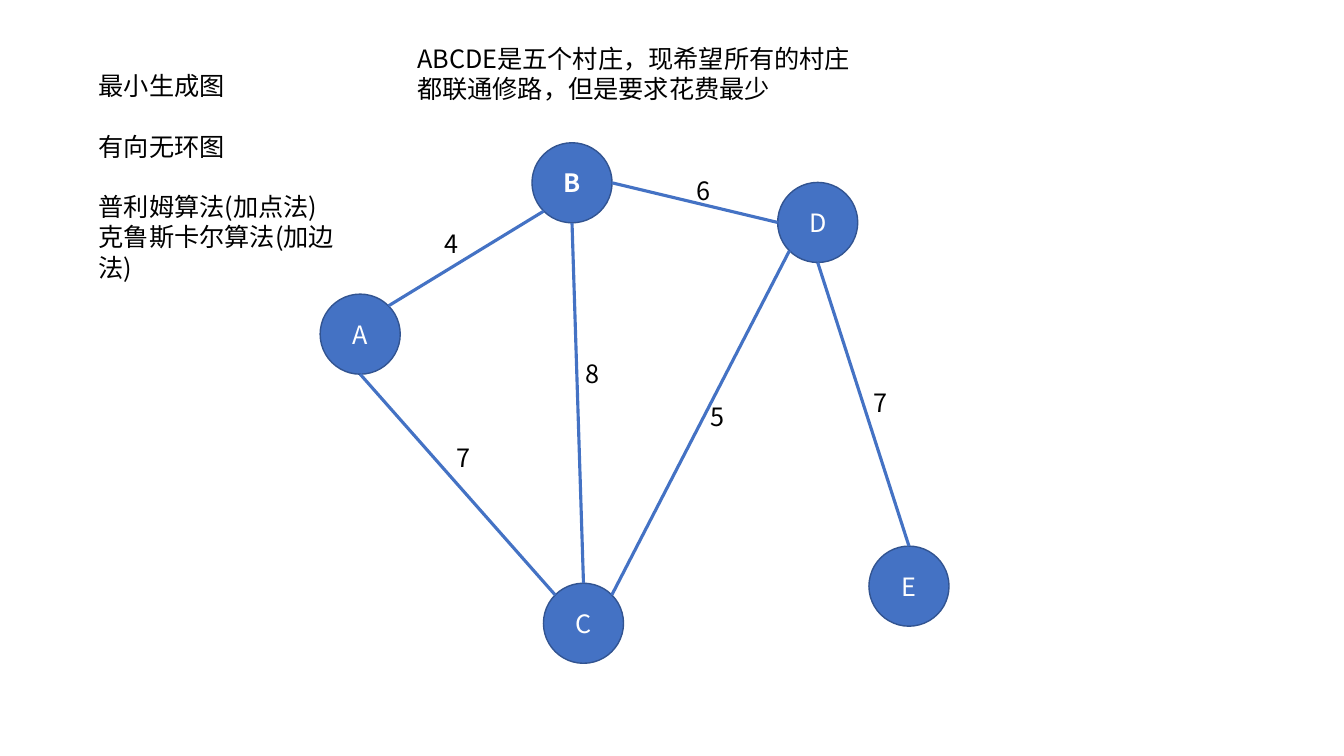
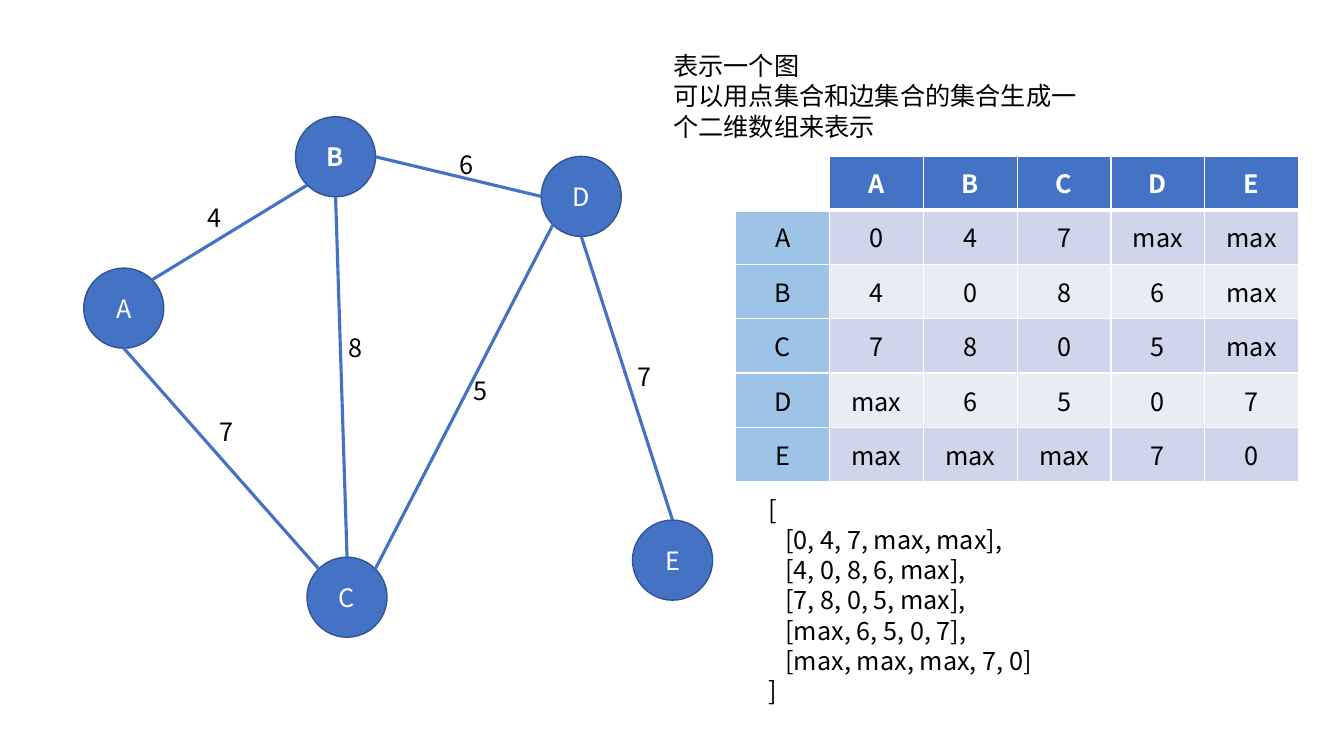
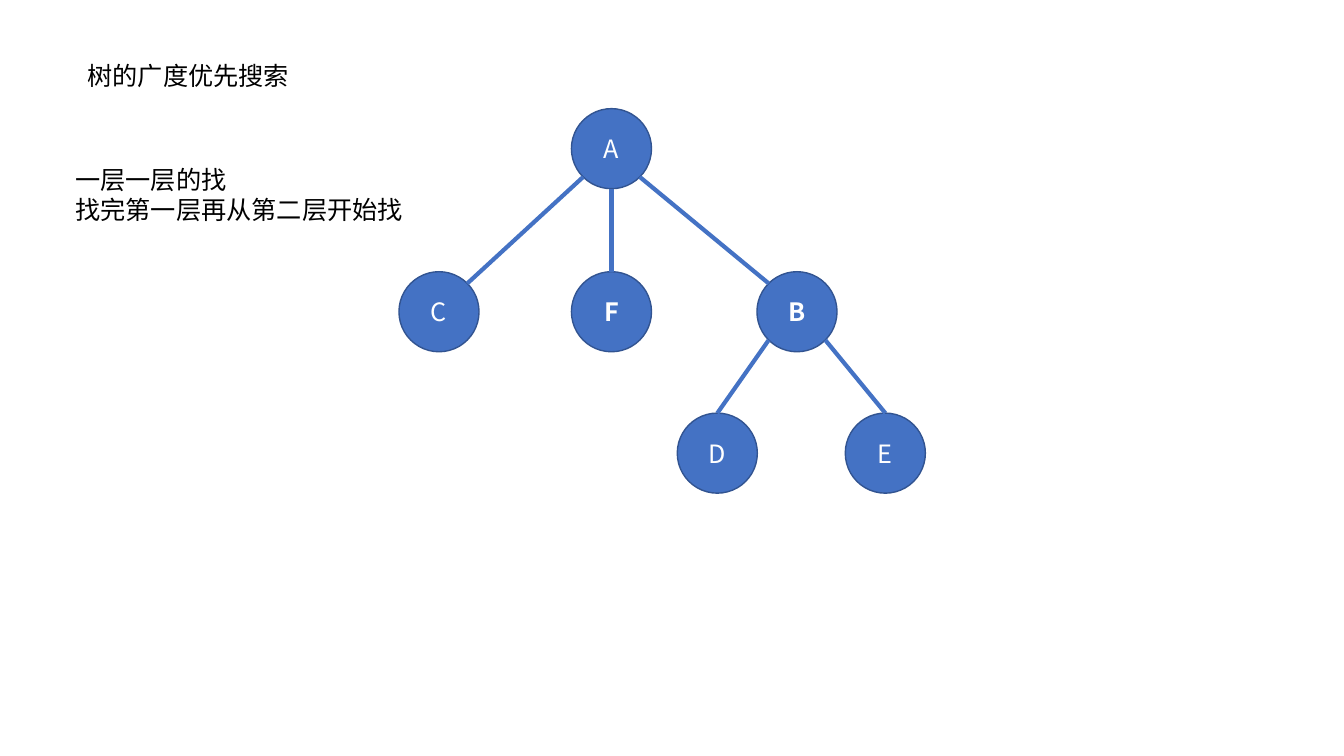
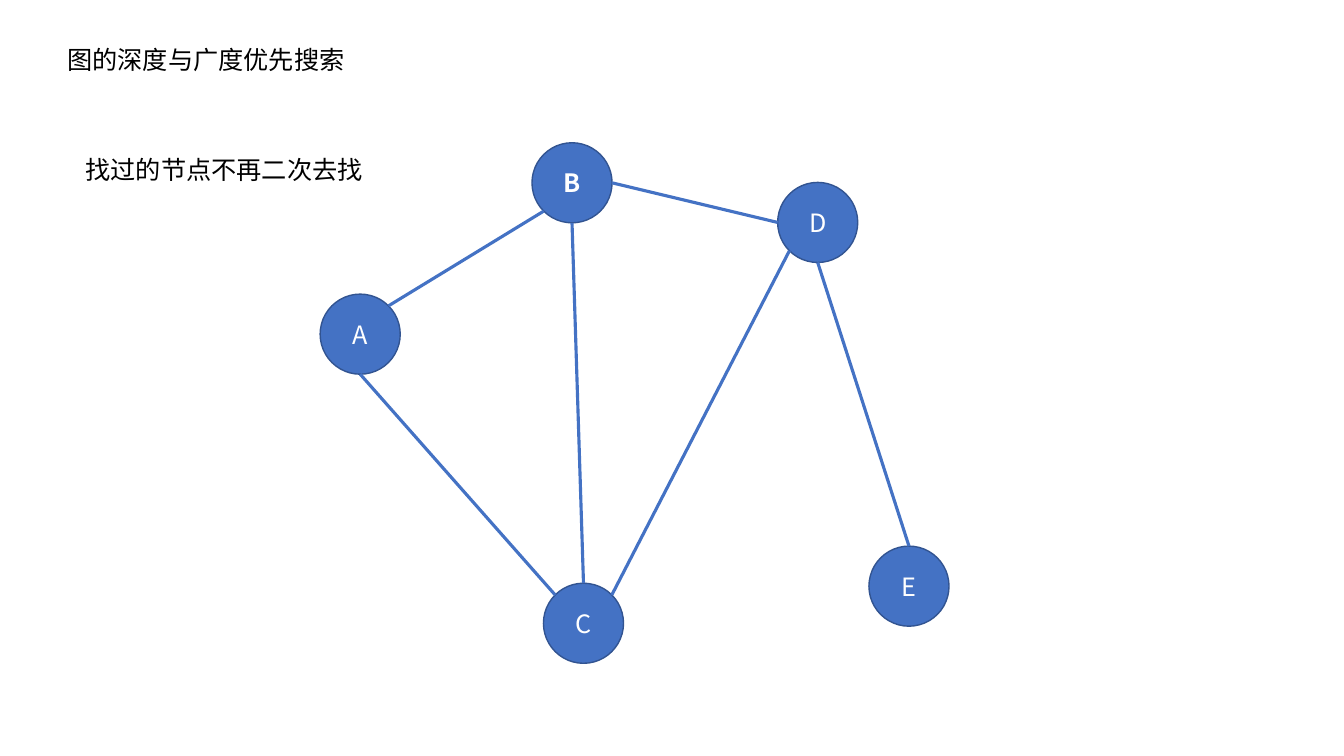
from math import sqrt
from lxml import etree
from pptx import Presentation
from pptx.dml.color import RGBColor
from pptx.enum.shapes import MSO_CONNECTOR, MSO_SHAPE
from pptx.enum.text import MSO_ANCHOR, PP_ALIGN
from pptx.oxml.ns import qn
from pptx.util import Pt

ELLIPSE = MSO_SHAPE.OVAL
STRAIGHT = MSO_CONNECTOR.STRAIGHT
CENTER = PP_ALIGN.CENTER
LEFT = PP_ALIGN.LEFT
MIDDLE = MSO_ANCHOR.MIDDLE

COLORS = {
    "blue": "4472C4",
    "outline": "325491",
    "row_head": "9DC3E6",
    "band_dark": "CFD5EA",
    "band_light": "E9EBF5",
    "white": "FFFFFF",
    "black": "000000",
}
FONT = "Noto Sans CJK SC"
FONT_SIZE = 18
LINE_HEIGHT = 21.6
NODE_SIZE = 57.2
BOLD_NODES = "BF"

VILLAGES = {
    "B": (151.3, 0),
    "D": (326.8, 28.3),
    "E": (392, 288.1),
    "C": (159.5, 314.6),
    "A": (0, 108.1),
}
ROADS = [
    ("B", "bottom_left", "A", "top_right"),
    ("A", "bottom", "C", "top_left"),
    ("B", "bottom", "C", "top"),
    ("E", "top", "D", "bottom"),
    ("D", "left", "B", "right"),
    ("D", "bottom_left", "C", "top_right"),
]
ROAD_COSTS = [
    ("4", 81.5, 57.8),
    ("7", 90.1, 210.5),
    ("8", 182.3, 150.7),
    ("6", 261.5, 19.7),
    ("5", 271.6, 181),
    ("7", 388.2, 170.9),
]
COST_BOX = (33, 28.8)
GRAPH_CENTERED = (228.7, 102)
GRAPH_LEFT = (59.8, 83.4)

TREE_NODES = {
    "B": (540.7, 194.1),
    "D": (483.8, 295.1),
    "E": (603.8, 295.1),
    "C": (285, 194.1),
    "A": (408.2, 77.6),
    "F": (408.2, 194.1),
}
BRANCHES = [
    ("A", "bottom_left", "C", "top_right"),
    ("A", "bottom", "F", "top"),
    ("A", "bottom_right", "B", "top_left"),
    ("B", "bottom_left", "D", "top"),
    ("B", "bottom_right", "E", "top"),
]

VILLAGE_NAMES = "ABCDE"
DISTANCES = [
    ["0", "4", "7", "max", "max"],
    ["4", "0", "8", "6", "max"],
    ["7", "8", "0", "5", "max"],
    ["max", "6", "5", "0", "7"],
    ["max", "max", "max", "7", "0"],
]
TABLE_CORNER = (525.6, 111.6)
COLUMN_WIDTH = 67
HEAD_HEIGHT, ROW_HEIGHT = 38.2, 38.9

PROBLEM = ["ABCDE是五个村庄，现希望所有的村庄都联通修路，但是要求花费最少"]
TOPICS = ["最小生成图", "有向无环图", "普利姆算法(加点法)", "克鲁斯卡尔算法(加边法)"]
REPRESENTATION = ["表示一个图", "可以用点集合和边集合的集合生成一个二维数组来表示"]
TREE_TITLE = ["树的广度优先搜索"]
TREE_STEPS = ["一层一层的找", "找完第一层再从第二层开始找"]
SEARCH_TITLE = ["图的深度与广度优先搜索"]
SEARCH_RULE = ["找过的节点不再二次去找"]

DIAGONAL = 0.5 / sqrt(2)
OFFSETS = {"top": (0, -0.5), "bottom": (0, 0.5), "left": (-0.5, 0), "right": (0.5, 0)}
for vertical, dy in (("top", -DIAGONAL), ("bottom", DIAGONAL)):
    for horizontal, dx in (("left", -DIAGONAL), ("right", DIAGONAL)):
        OFFSETS[f"{vertical}_{horizontal}"] = (dx, dy)


def rgb(name):
    return RGBColor.from_string(COLORS[name])


def style_text(frame, color, align=LEFT, bold=False):
    for paragraph in frame.paragraphs:
        paragraph.alignment = align
        for run in paragraph.runs:
            run.font.name = FONT
            run.font.size = Pt(FONT_SIZE)
            run.font.bold = bold
            run.font.color.rgb = rgb(color)
            east_asian = etree.SubElement(run.font._element, qn("a:ea"))
            east_asian.set("typeface", FONT)


def add_text(slide, lines, left, top, width, height, gaps=(), indents=()):
    frame = slide.shapes.add_textbox(Pt(left), Pt(top), Pt(width), Pt(height)).text_frame
    frame.word_wrap = True
    frame.text = "\n".join(lines)
    style_text(frame, "black")
    for index, paragraph in enumerate(frame.paragraphs):
        paragraph.line_spacing = Pt(LINE_HEIGHT)
        if index in gaps:
            paragraph.space_before = Pt(LINE_HEIGHT)
        if index in indents:
            paragraph._p.get_or_add_pPr().set("marL", str(Pt(12)))


def add_network(slide, nodes, edges, line_width, origin=(0, 0)):
    centers = {}
    for name, (x, y) in nodes.items():
        left, top = origin[0] + x, origin[1] + y
        centers[name] = (left + NODE_SIZE / 2, top + NODE_SIZE / 2)
        node = slide.shapes.add_shape(ELLIPSE, Pt(left), Pt(top), Pt(NODE_SIZE), Pt(NODE_SIZE))
        node.shadow.inherit = False
        node.fill.solid()
        node.fill.fore_color.rgb = rgb("blue")
        node.line.color.rgb = rgb("outline")
        node.line.width = Pt(1)
        node.text_frame.text = name
        node.text_frame.vertical_anchor = MIDDLE
        style_text(node.text_frame, "white", CENTER, name in BOLD_NODES)

    def site(name, side):
        return [Pt(c + NODE_SIZE * d) for c, d in zip(centers[name], OFFSETS[side])]

    for start, start_side, end, end_side in edges:
        edge = slide.shapes.add_connector(
            STRAIGHT, *site(start, start_side), *site(end, end_side))
        edge.line.color.rgb = rgb("blue")
        edge.line.width = Pt(line_width)
        etree.SubElement(edge._element.spPr, qn("a:effectLst"))


def add_village_graph(slide, origin, costs=()):
    add_network(slide, VILLAGES, ROADS, 2.25, origin)
    for cost, x, y in costs:
        add_text(slide, [cost], origin[0] + x, origin[1] + y, *COST_BOX)


def set_borders(cell, row):
    widths = {
        "a:lnL": 1,
        "a:lnR": 1,
        "a:lnT": 3 if row == 1 else 1,
        "a:lnB": 3 if row == 0 else 1,
    }
    for tag, width in widths.items():
        border = etree.SubElement(cell._tc.get_or_add_tcPr(), qn(tag), w=str(Pt(width)))
        fill = etree.SubElement(border, qn("a:solidFill"))
        etree.SubElement(fill, qn("a:srgbClr"), val=COLORS["white"])


def cell_fill(row, column):
    if row == 0:
        return "blue" if column else "white"
    if column == 0:
        return "row_head"
    return "band_dark" if row % 2 else "band_light"


def add_distance_table(slide):
    rows = [["", *VILLAGE_NAMES]]
    rows += [[name, *values] for name, values in zip(VILLAGE_NAMES, DISTANCES)]
    count = len(rows)
    table = slide.shapes.add_table(
        count, count, Pt(TABLE_CORNER[0]), Pt(TABLE_CORNER[1]),
        Pt(COLUMN_WIDTH * count), Pt(HEAD_HEIGHT + ROW_HEIGHT * (count - 1))).table
    table.first_row = False
    table.horz_banding = False
    for column in table.columns:
        column.width = Pt(COLUMN_WIDTH)
    for r, values in enumerate(rows):
        table.rows[r].height = Pt(ROW_HEIGHT if r else HEAD_HEIGHT)
        for c, value in enumerate(values):
            cell = table.cell(r, c)
            set_borders(cell, r)
            cell.fill.solid()
            cell.fill.fore_color.rgb = rgb(cell_fill(r, c))
            cell.text_frame.text = value
            cell.vertical_anchor = MIDDLE
            style_text(cell.text_frame, "black" if r else "white", CENTER, r == 0)


def add_array_listing(slide):
    rows = [f"[{', '.join(values)}]" for values in DISTANCES]
    lines = ["[", *[row + "," for row in rows[:-1]], rows[-1], "]"]
    add_text(slide, lines, 542, 349.2, 418, 159.8, indents=range(1, len(lines) - 1))


deck = Presentation()
deck.slide_width, deck.slide_height = Pt(960), Pt(540)
blank = deck.slide_layouts[6]
spanning, matrix, tree, search = [deck.slides.add_slide(blank) for _ in range(4)]

add_village_graph(spanning, GRAPH_CENTERED, ROAD_COSTS)
add_text(spanning, PROBLEM, 290.9, 27.4, 329.8, 51.1)
add_text(spanning, TOPICS, 63.4, 46.8, 202.3, 181.4, gaps=(1, 2))

add_village_graph(matrix, GRAPH_LEFT, ROAD_COSTS)
add_text(matrix, REPRESENTATION, 473.8, 32.4, 316.8, 138.2)
add_distance_table(matrix)
add_array_listing(matrix)

add_network(tree, TREE_NODES, BRANCHES, 3)
add_text(tree, TREE_TITLE, 55.4, 39.6, 242.6, 28.8)
add_text(tree, TREE_STEPS, 46.8, 113.8, 295.2, 51.1)

add_village_graph(search, GRAPH_CENTERED)
add_text(search, SEARCH_TITLE, 41, 28.1, 257, 28.8)
add_text(search, SEARCH_RULE, 54, 106.6, 257, 28.8)

deck.save("out.pptx")
